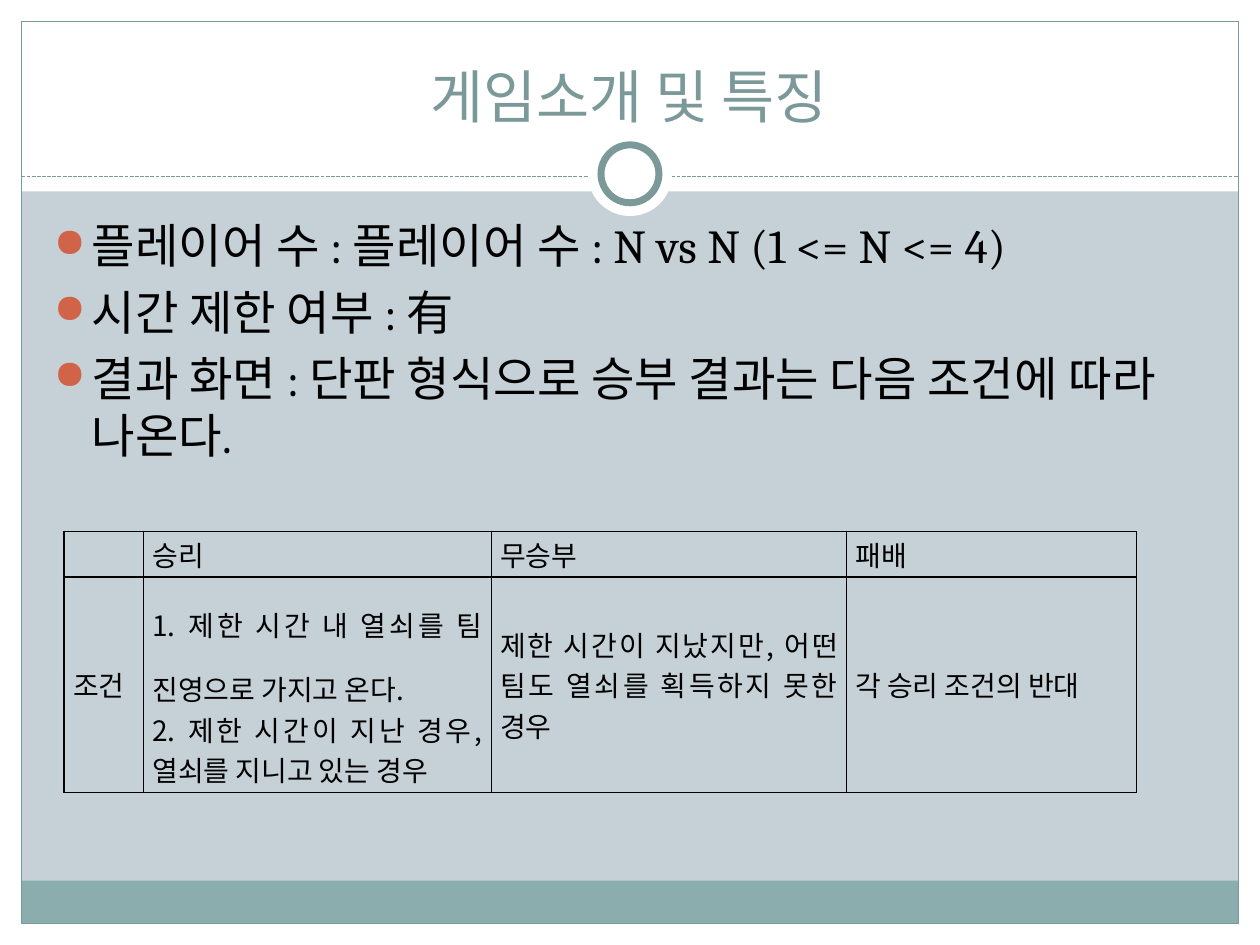
from lxml import etree
from pptx import Presentation
from pptx import util as u
from pptx.dml.color import RGBColor
from pptx.enum import dml, shapes, text
from pptx.oxml import ns

Inches, Pt = u.Inches, u.Pt
COLORS = {"background": "C5D1D7", "white": "FFFFFF", "band": "8CADAE",
          "accent": "7C999A", "bullet": "D16349", "black": "000000"}
HEADING_FONT, TABLE_FONT = "Cambria", "Noto Sans CJK KR"
TITLE = "게임소개 및 특징"
FEATURES = ["플레이어 수 : 플레이어 수 : N vs N (1 <= N <= 4)",
            "시간 제한 여부 : 有",
            "결과 화면 : 단판 형식으로 승부 결과는 다음 조건에 따라 나온다."]
RESULTS = [
    [[], ["승리"], ["무승부"], ["패배"]],
    [["조건"],
     ["1. 제한 시간 내 열쇠를 팀 진영으로 가지고 온다.",
      "2. 제한 시간이 지난 경우, 열쇠를 지니고 있는 경우"],
     ["제한 시간이 지났지만, 어떤 팀도 열쇠를 획득하지 못한 경우"],
     ["각 승리 조건의 반대"]],
]


def color(name):
    """Return the named colour."""
    return RGBColor.from_string(COLORS[name])


def add_element(parent, tag, **attributes):
    """Append a DrawingML element and return it."""
    return etree.SubElement(parent, ns.qn(f"a:{tag}"), attributes)


def write(paragraph, content, size, font=HEADING_FONT, ink="black",
          align=None, spacing=None):
    """Write one formatted run into a paragraph."""
    run = paragraph.add_run()
    run.text = content
    run.font.name, run.font.size = font, Pt(size)
    run.font.color.rgb = color(ink)
    if font == TABLE_FONT:
        add_element(run.font._element, "ea", typeface=font)
    paragraph.alignment = align
    if spacing:
        paragraph.line_spacing = spacing


def add_box(slide, box, kind="RECTANGLE", fill=None, line=None, width=0.75):
    """Add a preset shape with an optional fill and line."""
    shape = slide.shapes.add_shape(shapes.MSO_SHAPE[kind], *map(Inches, box))
    shape.shadow.inherit = False
    if fill:
        shape.fill.solid()
        shape.fill.fore_color.rgb = color(fill)
    else:
        shape.fill.background()
    if line:
        shape.line.color.rgb = color(line)
        shape.line.width = Pt(width)
    else:
        shape.line.fill.background()


def add_text_frame(slide, box, anchor):
    """Add a wrapping text box and return its frame."""
    frame = slide.shapes.add_textbox(*map(Inches, box)).text_frame
    frame.word_wrap = True
    frame.vertical_anchor = anchor
    return frame


def add_frame(slide, width, height, margin=0.17, header=1.52):
    """Draw the margins, bottom band, border, divider and ring."""
    inner = width - 2 * margin
    for box in [(0, height - margin, width, margin), (0, 0, width, header),
                (0, 0, margin, height), (width - margin, 0, margin, height)]:
        add_box(slide, box, fill="white")
    add_box(slide, (margin, 6.99, inner, 0.34), fill="band")
    add_box(slide, (margin, margin, inner, height - 2 * margin), line="accent")

    divider = slide.shapes.add_connector(
        shapes.MSO_CONNECTOR.STRAIGHT,
        *map(Inches, (margin, 1.4, width - margin, 1.4)))
    divider.line.color.rgb = color("accent")
    divider.line.width = Pt(0.75)
    divider.line.dash_style = dml.MSO_LINE.SQUARE_DOT
    add_element(divider._element.spPr, "effectLst")

    for size, line in [(0.67, None), (0.46, "accent")]:
        box = ((width - size) / 2, 1.38 - size / 2, size, size)
        add_box(slide, box, "OVAL", "white", line, 4)


def add_title(slide, box):
    """Place the slide title."""
    frame = add_text_frame(slide, box, text.MSO_ANCHOR.BOTTOM)
    write(frame.paragraphs[0], TITLE, 33, ink="accent",
          align=text.PP_ALIGN.CENTER)


def add_features(slide, box):
    """Place the bulleted list of game features."""
    frame = add_text_frame(slide, box, text.MSO_ANCHOR.TOP)
    for index, feature in enumerate(FEATURES):
        paragraph = frame.add_paragraph() if index else frame.paragraphs[0]
        write(paragraph, feature, 27)
        paragraph.space_before = Pt(5.4)
        properties = paragraph._p.get_or_add_pPr()
        properties.set("marL", str(Inches(0.3)))
        properties.set("indent", str(Inches(-0.3)))
        bullet_color = add_element(properties, "buClr")
        add_element(bullet_color, "srgbClr", val=COLORS["bullet"])
        add_element(properties, "buSzPct", val="85000")
        add_element(properties, "buChar", char="●")


def format_cell(cell):
    """Give a cell its borders, margins and clear fill."""
    cell.vertical_anchor = text.MSO_ANCHOR.MIDDLE
    cell.margin_left = cell.margin_right = Inches(0.07)
    cell.margin_top = cell.margin_bottom = Inches(0.02)
    properties = cell._tc.get_or_add_tcPr()
    for side in ("lnL", "lnR", "lnT", "lnB"):
        border = add_element(properties, side, w=str(Pt(1)))
        fill = add_element(border, "solidFill")
        add_element(fill, "srgbClr", val=COLORS["black"])
    cell.fill.background()


def add_results(slide, box):
    """Place the table of win, draw and loss conditions."""
    table = slide.shapes.add_table(2, 4, *map(Inches, box)).table
    table.first_row = table.horz_banding = False
    for column, width in zip(table.columns, (0.63, 2.76, 2.82, 2.3)):
        column.width = Inches(width)
    for row, height, contents in zip(table.rows, (0.36, 1.71), RESULTS):
        row.height = Inches(height)
        for cell, lines in zip(row.cells, contents):
            format_cell(cell)
            frame = cell.text_frame
            for index, line in enumerate(lines):
                paragraph = frame.add_paragraph() if index else frame.paragraphs[0]
                spacing = 1.6 if len(lines) > 1 and index == 0 else None
                write(paragraph, line, 16, TABLE_FONT,
                      align=text.PP_ALIGN.JUSTIFY, spacing=spacing)


def main():
    """Build and save the presentation."""
    presentation = Presentation()
    presentation.slide_width = Inches(10)
    presentation.slide_height = Inches(7.5)
    slide = presentation.slides.add_slide(presentation.slide_layouts[6])
    slide.background.fill.solid()
    slide.background.fill.fore_color.rgb = color("background")
    add_frame(slide, 10, 7.5)
    add_title(slide, (0.33, 0.25, 9.33, 0.83))
    add_features(slide, (0.33, 1.67, 9.3, 5))
    add_results(slide, (0.51, 4.22, 8.51, 2.07))
    presentation.save("out.pptx")


if __name__ == "__main__":
    main()
